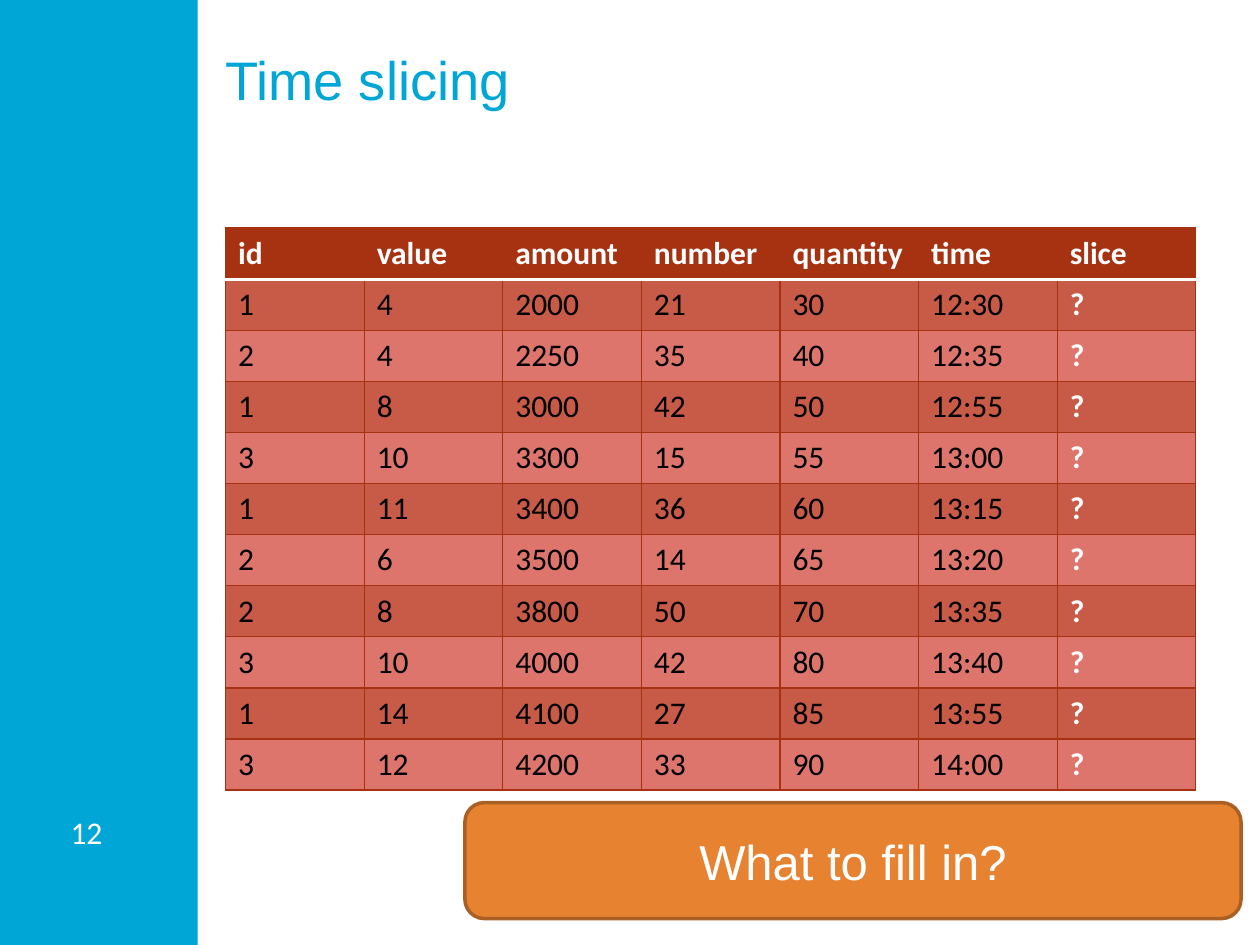
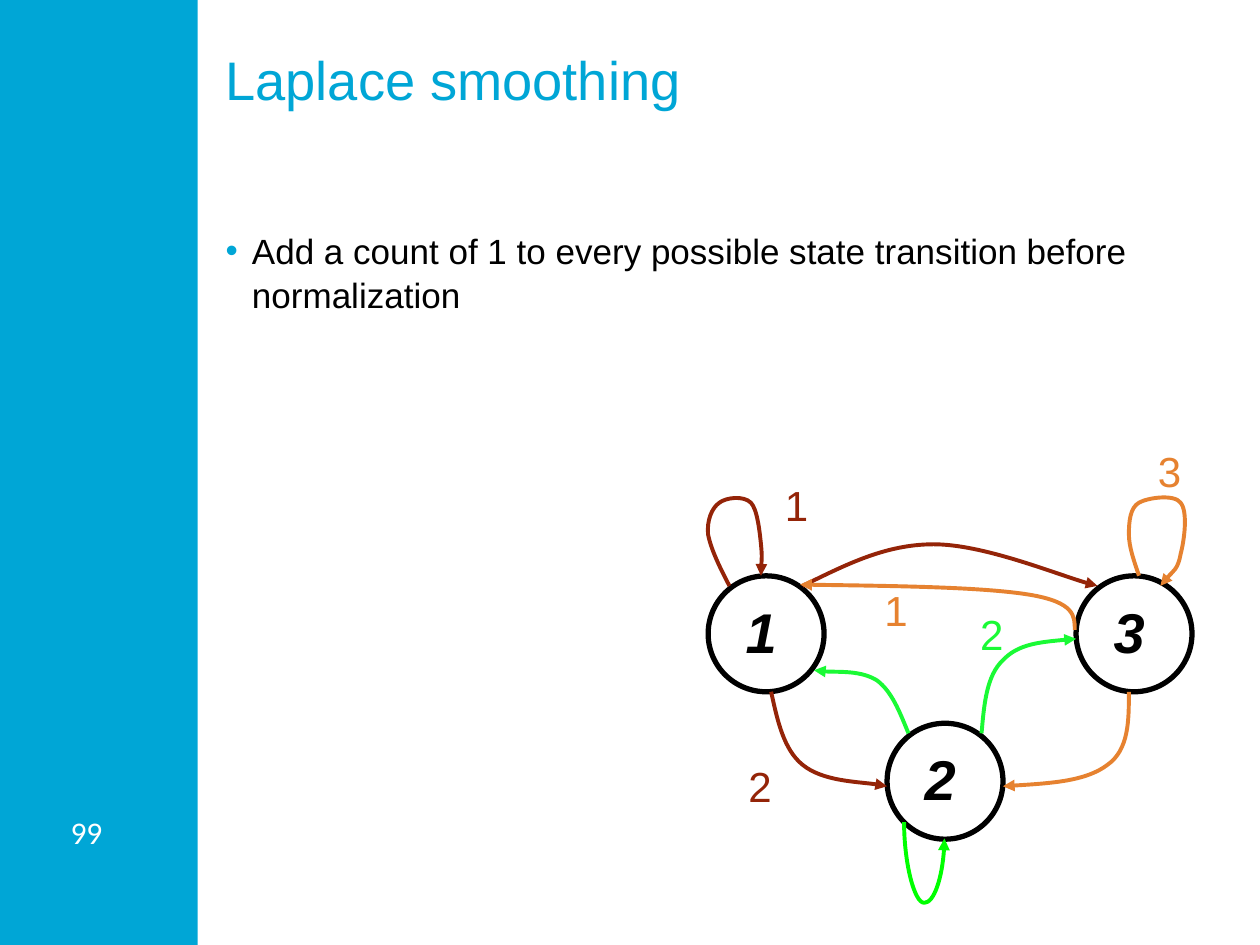
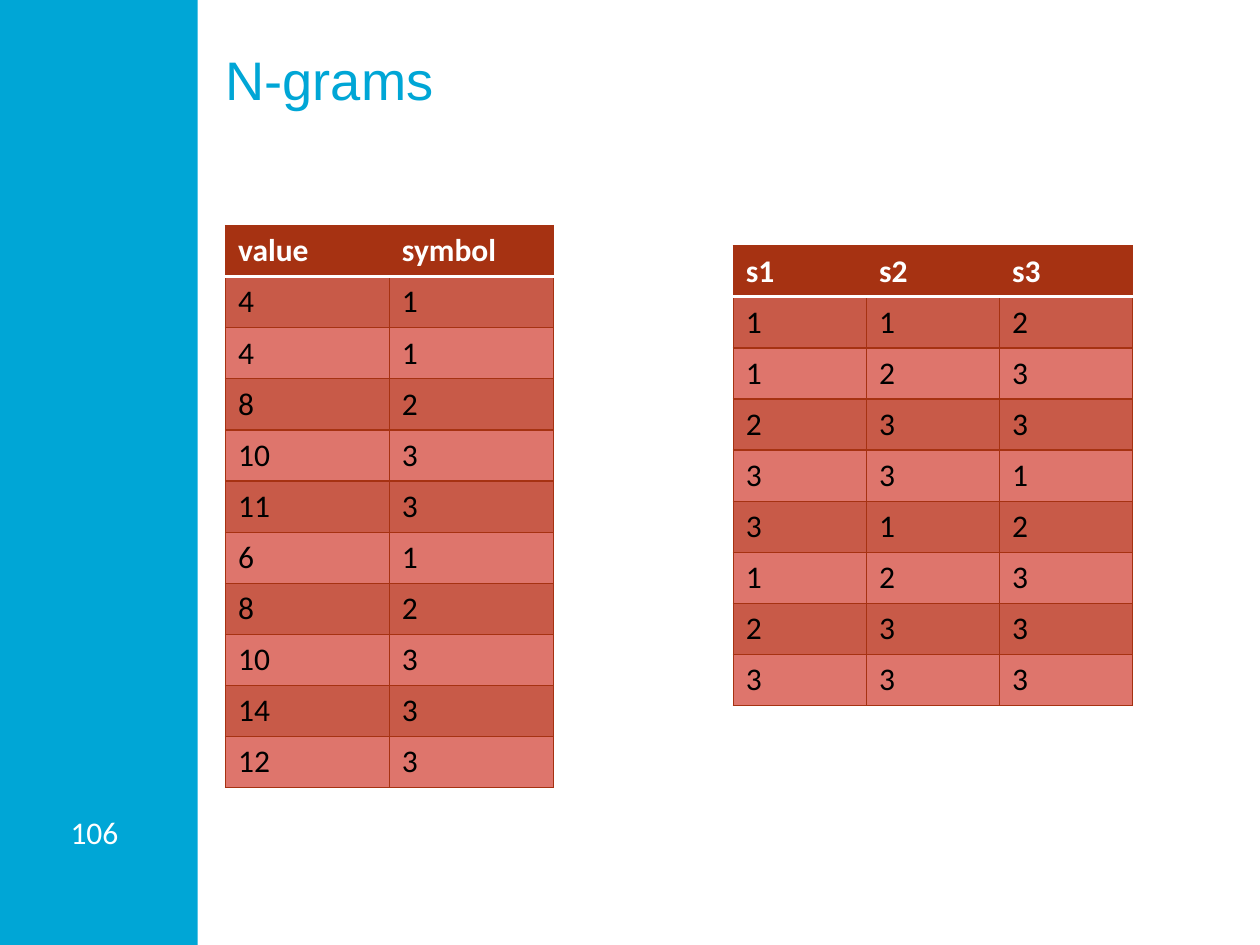
from lxml import etree
from pptx import Presentation
from pptx.dml.color import RGBColor
from pptx.enum.shapes import MSO_CONNECTOR, MSO_SHAPE
from pptx.enum.text import MSO_ANCHOR, MSO_AUTO_SIZE, PP_ALIGN
from pptx.oxml.ns import qn
from pptx.util import Pt

PX = 9144  # EMU per px, 100 px to the inch
TITLE_ONLY = 5
CURVE = MSO_CONNECTOR.CURVE
RECT, ROUNDED, ELLIPSE = MSO_SHAPE.RECTANGLE, MSO_SHAPE.ROUNDED_RECTANGLE, MSO_SHAPE.OVAL
TOP, MIDDLE = MSO_ANCHOR.TOP, MSO_ANCHOR.MIDDLE
LEFT, CENTER = PP_ALIGN.LEFT, PP_ALIGN.CENTER
NO_FIT = MSO_AUTO_SIZE.NONE

COLORS = {
    "brand": "00A6D6", "white": "FFFFFF", "black": "000000",
    "header": "A63212", "band_dark": "C85A48", "band_light": "DE756C",
    "orange": "E68230", "orange_edge": "AA6024",
    "red": "942408", "green": "1AFA35", "lime": "00FF00",
}
FORMATS = {
    "title": {"name": "Arial", "size": Pt(31), "bold": False},
    "body": {"name": "Arial", "size": Pt(20)},
    "callout": {"name": "Arial", "size": Pt(28)},
    "state": {"name": "Arial", "size": Pt(32), "bold": True, "italic": True},
    "count": {"name": "Arial", "size": Pt(24)},
    "page": {"name": "Calibri", "size": Pt(18)},
    "cell": {"name": "Calibri", "size": Pt(18), "bold": False},
    "cell_bold": {"name": "Calibri", "size": Pt(18), "bold": True},
}


def px(*lengths):
    return [length * PX for length in lengths]


def rgb(color):
    return RGBColor.from_string(COLORS[color])


def add_xml(parent, tag, **attributes):
    return etree.SubElement(parent, qn(tag), attributes)


def set_all(target, values):
    for name, value in values.items():
        setattr(target, name, value)


class Deck:
    def __init__(self):
        self.prs = Presentation()
        set_all(self.prs, {"slide_width": 1000 * PX, "slide_height": 750 * PX})
        self.slide = None

    def new_slide(self, title, page):
        self.slide = self.prs.slides.add_slide(self.prs.slide_layouts[TITLE_ONLY])
        self.shape(RECT, (0, 0, 157, 750), "brand")
        self.text(page, (49, 641, 54, 40), "page", "white", margins=(7, 4))
        holder = self.slide.shapes.title
        set_all(holder, dict(zip(("left", "top", "width", "height"), px(179, 37, 770, 116))))
        self.fill_frame(holder.text_frame, title, "title", "brand", margins=(0, 0), wrap=True)

    def fill_frame(self, frame, text, style, color, margins=(10, 5), wrap=False,
                   anchor=TOP, align=LEFT):
        side, end = px(*margins)
        set_all(frame, {"margin_left": side, "margin_right": side, "margin_top": end,
                        "margin_bottom": end, "word_wrap": wrap, "auto_size": NO_FIT,
                        "vertical_anchor": anchor, "text": text})
        paragraph = frame.paragraphs[0]
        paragraph.alignment = align
        self.font(paragraph.runs[0].font, style, color)

    def font(self, font, style, color):
        set_all(font, FORMATS[style])
        font.color.rgb = rgb(color)

    def text(self, text, box, style, color, **layout):
        textbox = self.slide.shapes.add_textbox(*px(*box))
        self.fill_frame(textbox.text_frame, text, style, color, **layout)
        return textbox

    def bullet(self, text, box):
        textbox = self.text(text, box, "body", "black", margins=(0, 0), wrap=True)
        paragraph = textbox.text_frame.paragraphs[0]
        properties = paragraph._p.get_or_add_pPr()
        properties.set("marL", str(21 * PX))
        properties.set("indent", str(-21 * PX))
        add_xml(add_xml(properties, "a:buClr"), "a:srgbClr", val=COLORS["brand"])
        add_xml(properties, "a:buFont", typeface="Arial")
        add_xml(properties, "a:buChar", char="•")
        paragraph.line_spacing = Pt(25)

    def shape(self, preset, box, fill, line=None, width=0):
        shape = self.slide.shapes.add_shape(preset, *px(*box))
        shape.shadow.inherit = False
        shape.fill.solid()
        shape.fill.fore_color.rgb = rgb(fill)
        if line:
            self.stroke(shape, line, width)
        else:
            shape.line.fill.background()
        return shape

    def stroke(self, shape, color, width):
        shape.line.color.rgb = rgb(color)
        shape.line.width = Pt(width)

    def arrow_stroke(self, shape, color):
        self.stroke(shape, color, 2.25)
        add_xml(shape.element.spPr.find(qn("a:ln")), "a:tailEnd", type="triangle")

    def curved_arrow(self, color, start, *points):
        """Draw cubic curves; each three points are two controls and an end."""
        builder = self.slide.shapes.build_freeform(*start, scale=PX)
        builder.add_line_segments(points, close=False)
        arrow = builder.convert_to_shape()
        outline = next(arrow.element.iter(qn("a:path")))
        segments = outline.findall(qn("a:lnTo"))
        for first in range(0, len(segments), 3):
            curve = add_xml(outline, "a:cubicBezTo")
            for segment in segments[first:first + 3]:
                curve.append(segment[0])
                outline.remove(segment)
        arrow.shadow.inherit = False
        arrow.fill.background()
        self.arrow_stroke(arrow, color)

    def loop_connector(self, color, start, end, bend):
        """Add a curved connector turned by 270 degrees, so that it loops downwards."""
        loop = self.slide.shapes.add_connector(CURVE, *px(*start, *end))
        properties = loop.element.spPr
        properties.find(qn("a:xfrm")).set("rot", str(270 * 60000))
        adjustments = next(properties.iter(qn("a:avLst")))
        add_xml(adjustments, "a:gd", name="adj1", fmla=f"val {bend}")
        self.arrow_stroke(loop, color)
        add_xml(properties, "a:effectLst")

    def state(self, label, left, top):
        self.shape(ELLIPSE, (left, top, 92, 92), "white", "black", 3)
        self.text(label, (left + 20, top + 12, 45, 63), "state", "black")

    def count(self, label, left, top, color):
        self.text(label, (left, top, 39, 51), "count", color)

    def callout(self, text, box):
        callout = self.shape(ROUNDED, box, "orange", "orange_edge", 2)
        self.fill_frame(callout.text_frame, text, "callout", "white", wrap=True,
                        anchor=MIDDLE, align=CENTER)

    def table(self, rows, box):
        table = self.slide.shapes.add_table(len(rows), len(rows[0]), *px(*box)).table
        table.horz_banding = False
        for column in table.columns:
            column.width = box[2] * PX // len(rows[0])
        for row in table.rows:
            row.height = box[3] * PX // len(rows)
        for r, values in enumerate(rows):
            for c, value in enumerate(values):
                self.cell(table.cell(r, c), value, r)

    def cell(self, cell, value, row):
        properties = cell._tc.get_or_add_tcPr()
        for side in "LRTB":
            under_header = (row, side) in ((0, "B"), (1, "T"))
            color, width = ("white", 2) if under_header else ("header", 0.79)
            border = add_xml(properties, f"a:ln{side}", w=str(int(Pt(width))))
            add_xml(add_xml(border, "a:solidFill"), "a:srgbClr", val=COLORS[color])
        cell.fill.solid()
        fill = "header" if row == 0 else ("band_light", "band_dark")[row % 2]
        cell.fill.fore_color.rgb = rgb(fill)
        cell.text = value
        strong = row == 0 or value == "?"
        self.font(cell.text_frame.paragraphs[0].runs[0].font,
                  "cell_bold" if strong else "cell", "white" if strong else "black")


def split_rows(text):
    return [line.split() for line in text.strip().splitlines()]


MEASUREMENTS = split_rows("""
id value amount number quantity time slice
1 4 2000 21 30 12:30 ?
2 4 2250 35 40 12:35 ?
1 8 3000 42 50 12:55 ?
3 10 3300 15 55 13:00 ?
1 11 3400 36 60 13:15 ?
2 6 3500 14 65 13:20 ?
2 8 3800 50 70 13:35 ?
3 10 4000 42 80 13:40 ?
1 14 4100 27 85 13:55 ?
3 12 4200 33 90 14:00 ?
""")
SYMBOLS = split_rows("""
value symbol
4 1
4 1
8 2
10 3
11 3
6 1
8 2
10 3
14 3
12 3
""")
TRIGRAMS = split_rows("""
s1 s2 s3
1 1 2
1 2 3
2 3 3
3 3 1
3 1 2
1 2 3
2 3 3
3 3 3
""")
STATES = [("1", 562, 457), ("3", 854, 457), ("2", 704, 574)]
TRANSITIONS = [
    ("red", (579, 465), (571, 450), (564, 435), (562, 424), (561, 413), (565, 403),
     (571, 399), (576, 395), (590, 393), (596, 399), (601, 404), (603, 422),
     (604, 432), (605, 442), (604, 453), (604, 457)),
    ("red", (637, 465), (670, 449), (702, 432), (741, 432), (780, 432), (849, 460),
     (871, 465)),
    ("red", (612, 549), (617, 572), (622, 595), (637, 607), (653, 620), (693, 621),
     (704, 624)),
    ("green", (721, 582), (714, 565), (708, 549), (696, 540), (683, 532), (654, 534),
     (646, 532)),
    ("orange", (904, 457), (900, 445), (896, 434), (896, 424), (896, 414), (897, 403),
     (904, 399), (911, 395), (932, 392), (937, 399), (943, 406), (940, 429),
     (937, 440), (935, 452), (923, 461), (921, 465)),
    ("orange", (896, 549), (896, 572), (896, 595), (879, 607), (862, 620), (829, 622),
     (796, 624)),
    ("green", (779, 582), (781, 559), (783, 536), (796, 524), (808, 511), (831, 509),
     (854, 507)),
    ("orange", (853, 500), (853, 489), (853, 478), (817, 472), (780, 466), (707, 465),
     (635, 464)),
]
COUNTS = [("1", 613, 376, "red"), ("2", 584, 599, "red"), ("2", 768, 478, "green"),
          ("3", 909, 349, "orange"), ("1", 692, 459, "orange")]


def main():
    deck = Deck()

    deck.new_slide("Time slicing", "12")
    deck.table(MEASUREMENTS, (179, 181, 770, 446))
    deck.callout("What to fill in?", (369, 637, 616, 92))

    deck.new_slide("Laplace smoothing", "99")
    deck.bullet("Add a count of 1 to every possible state transition before normalization",
                (179, 181, 770, 526))
    for state in STATES:
        deck.state(*state)
    for transition in TRANSITIONS:
        deck.curved_arrow(*transition)
    for count in COUNTS:
        deck.count(*count)
    deck.loop_connector("lime", (740, 643), (727, 675), bend=493100)

    deck.new_slide("N-grams", "106")
    deck.table(SYMBOLS, (179, 179, 260, 446))
    deck.table(TRIGRAMS, (582, 195, 317, 365))

    deck.prs.save("out.pptx")


if __name__ == "__main__":
    main()
